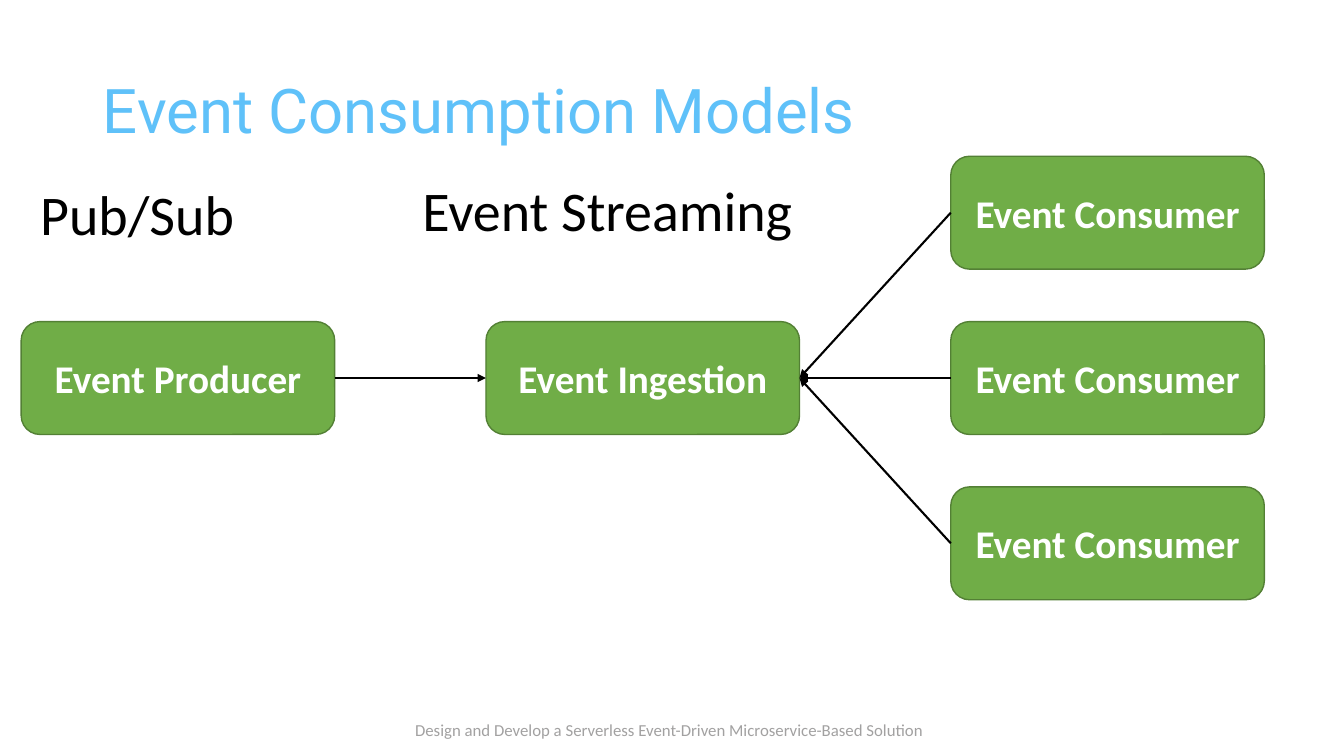
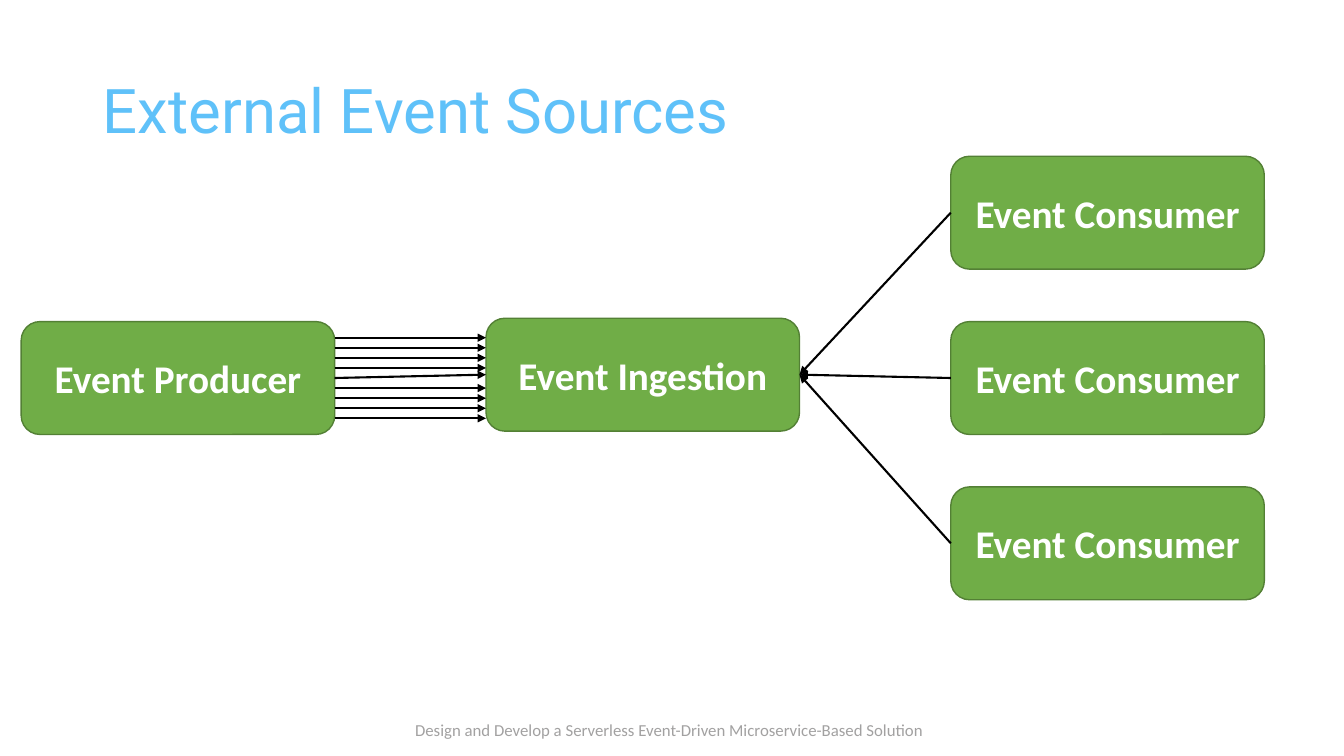
from lxml import etree
from pptx import Presentation
from pptx.dml.color import RGBColor
from pptx.enum.shapes import MSO_CONNECTOR, MSO_SHAPE
from pptx.enum.text import MSO_ANCHOR, MSO_AUTO_SIZE, PP_ALIGN
from pptx.oxml.ns import qn
from pptx.util import Inches, Pt

ROUND = MSO_SHAPE.ROUNDED_RECTANGLE
STRAIGHT = MSO_CONNECTOR.STRAIGHT
LEFT, CENTER = PP_ALIGN.LEFT, PP_ALIGN.CENTER
MIDDLE = MSO_ANCHOR.MIDDLE
FIXED, GROW = MSO_AUTO_SIZE.NONE, MSO_AUTO_SIZE.SHAPE_TO_FIT_TEXT
LEFT_SITE, RIGHT_SITE = 1, 3


def color(code):
    """Turn a hex string into a colour."""
    return RGBColor.from_string(code)


class Deck:
    """Hold the shared style, the flow grid and the current slide."""

    sky, green, edge = "5FC1F9", "70AD47", "538035"
    black, white, gray = "000000", "FFFFFF", "A2A1A1"
    head, body = "Roboto", "Calibri"
    start_x, start_y = 0.21, 1.55
    col_step, row_step = 4.61, 1.64
    box_w, box_h = 3.11, 1.12
    note = "Design and Develop a Serverless Event-Driven Microservice-Based Solution"

    def __init__(self):
        """Open an empty wide deck."""
        self.prs = Presentation()
        self.prs.slide_width = Inches(13.33)
        self.prs.slide_height = Inches(7.5)
        self.slide = None

    def area(self, x, y, w, h):
        """Turn percentages of the slide into lengths."""
        wide, high = self.prs.slide_width, self.prs.slide_height
        return [int(part * full / 100)
                for part, full in ((x, wide), (y, high), (w, wide), (h, high))]

    def words(self, frame, text, size, tint, face=body, bold=False, align=LEFT):
        """Put one styled paragraph in a text frame."""
        frame.text = text
        para = frame.paragraphs[0]
        para.alignment = align
        font = para.runs[0].font
        font.name, font.size, font.bold = face, Pt(size), bold
        font.color.rgb = color(tint)
        return para

    def page(self, title):
        """Start a slide with its title and footer."""
        layout = self.prs.slide_layouts[5]
        self.slide = self.prs.slides.add_slide(layout)
        self.label(self.note, 12, self.gray, 30.15, 94.53, 39.76, 4)
        shape = self.slide.shapes.title
        shape.left, shape.top, shape.width, shape.height = self.area(
            6.9, 5.33, 86.25, 19.33)
        frame = shape.text_frame
        frame.auto_size = FIXED
        frame.vertical_anchor = MIDDLE
        para = self.words(frame, title, 44, self.sky, self.head)
        para.line_spacing = 0.9

    def label(self, text, size, tint, *place):
        """Add a line of plain text."""
        frame = self.slide.shapes.add_textbox(*self.area(*place)).text_frame
        frame.word_wrap = False
        frame.auto_size = GROW
        self.words(frame, text, size, tint)

    def box(self, text, col, row):
        """Add a green step at a grid cell."""
        shape = self.slide.shapes.add_shape(
            ROUND,
            Inches(self.start_x + col * self.col_step),
            Inches(self.start_y + row * self.row_step),
            Inches(self.box_w), Inches(self.box_h))
        shape.shadow.inherit = False
        shape.fill.solid()
        shape.fill.fore_color.rgb = color(self.green)
        shape.line.color.rgb = color(self.edge)
        shape.line.width = Pt(1)
        frame = shape.text_frame
        frame.word_wrap = True
        frame.vertical_anchor = MIDDLE
        self.words(frame, text, 28, self.white, bold=True, align=CENTER)
        return shape

    def arrow(self, x1, y1, x2, y2):
        """Add a black line with a head at its end."""
        line = self.slide.shapes.add_connector(STRAIGHT, x1, y1, x2, y2)
        line.line.color.rgb = color(self.black)
        line.line.width = Pt(1.5)
        props = line._element.spPr
        tip = etree.SubElement(props.find(qn("a:ln")), qn("a:tailEnd"))
        tip.set("type", "triangle")
        etree.SubElement(props, qn("a:effectLst"))
        return line

    def link(self, source, out_site, target, in_site):
        """Join two steps with a glued arrow."""
        line = self.arrow(0, 0, 0, 0)
        line.begin_connect(source, out_site)
        line.end_connect(target, in_site)

    def flow(self, level=1):
        """Draw the event flow with its ingestion step at a given row."""
        maker = self.box("Event Producer", 0, 1)
        intake = self.box("Event Ingestion", 1, level)
        users = [self.box("Event Consumer", 2, row) for row in range(3)]
        self.link(maker, RIGHT_SITE, intake, LEFT_SITE)
        for user in users:
            self.link(user, LEFT_SITE, intake, RIGHT_SITE)
        return maker, intake

    def burst(self, maker, intake, count, gap):
        """Add level arrows above and below the middle one."""
        mid = maker.top + maker.height // 2
        for step in range(1, count + 1):
            for side in (-1, 1):
                y = mid + side * step * Inches(gap)
                self.arrow(maker.left + maker.width, y, intake.left, y)


def main():
    """Build and save both slides."""
    deck = Deck()
    deck.page("Event Consumption Models")
    deck.flow()
    deck.label("Pub/Sub", 40, deck.black, 2.25, 23.07, 16.05, 10.27)
    deck.label("Event Streaming", 40, deck.black, 30.68, 22.53, 29.33, 10.27)

    deck.page("External Event Sources")
    maker, intake = deck.flow(level=0.98)
    deck.burst(maker, intake, count=4, gap=0.1)
    deck.prs.save("out.pptx")


if __name__ == "__main__":
    main()
